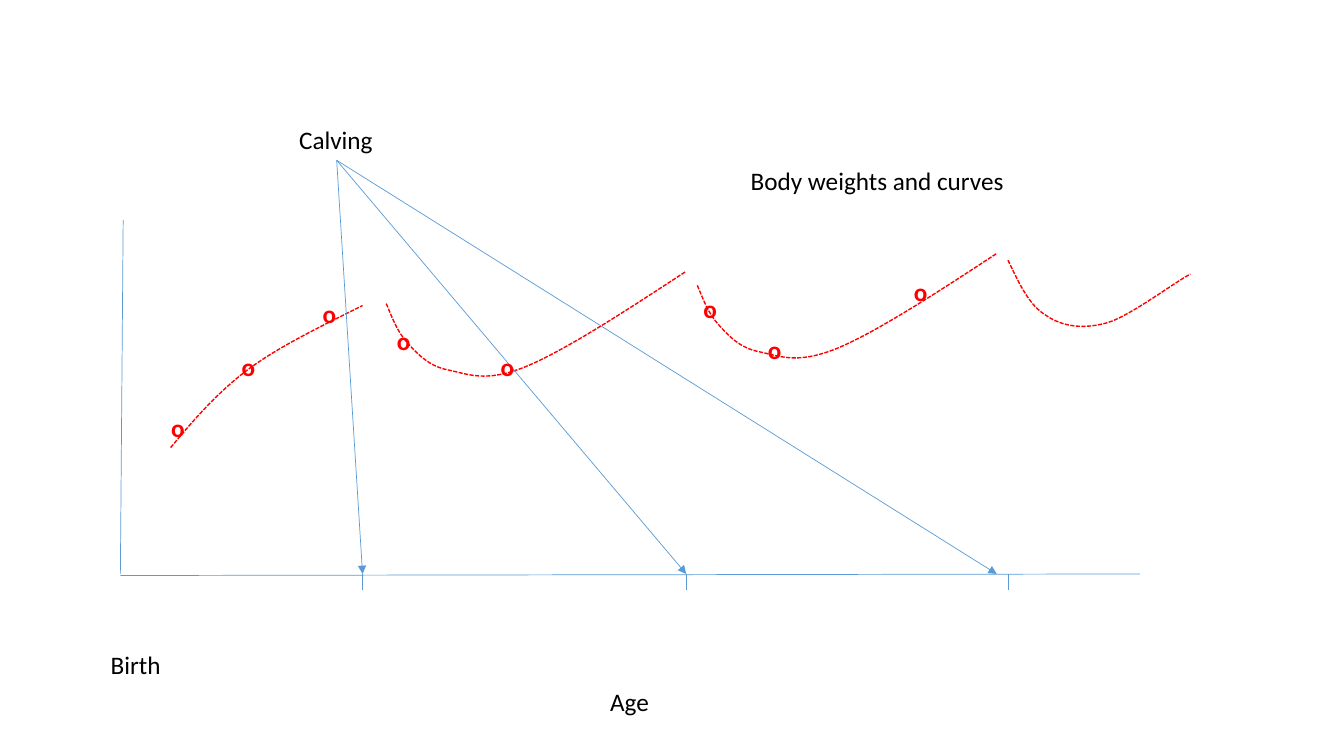
from dataclasses import dataclass

from lxml import etree
from pptx import Presentation
from pptx import util as u
from pptx.dml.color import RGBColor
from pptx.enum import dml, text
from pptx.oxml import ns

Point = tuple[float, float]
HUES = {"axis": "5B9BD5", "curve": "FF0000", "text": "000000"}
BASE = 410  # height of the age axis on the slide
HIGH = 28.8  # height of a one-line text box
STEPS = 16  # samples per Bezier span, to find its extent


@dataclass
class Line:
    """A straight line, with or without an arrowhead at its end."""
    start: Point
    end: Point
    arrow: bool = False


@dataclass
class Label:
    """One line of text in a box."""
    words: str
    left: float
    top: float
    width: float
    hue: str = "text"
    bold: bool = False


def shift(points: list[Point], right: float, down: float) -> list[Point]:
    """Move every point by the same step."""
    return [(x + right, y + down) for x, y in points]


def trace(points: list[Point]) -> list[Point]:
    """Sample a chain of cubic Beziers: a start, then three points per span."""
    path = [points[0]]
    for first in range(0, len(points) - 1, 3):
        span = points[first:first + 4]
        for step in range(1, STEPS + 1):
            t = step / STEPS
            parts = ((1 - t) ** 3, 3 * t * (1 - t) ** 2, 3 * t * t * (1 - t), t ** 3)
            path.append((sum(p * x for p, (x, _) in zip(parts, span)),
                         sum(p * y for p, (_, y) in zip(parts, span))))
    return path


def bend(curve, points: list[Point]) -> None:
    """Swap the straight pieces of a freeform for true Bezier spans."""
    track = curve._element.spPr.find(".//" + ns.qn("a:path"))
    for piece in track.findall(ns.qn("a:lnTo")):
        track.remove(piece)
    for first in range(1, len(points), 3):
        span = etree.SubElement(track, ns.qn("a:cubicBezTo"))
        for x, y in points[first:first + 3]:
            etree.SubElement(span, ns.qn("a:pt"), x=str(u.Pt(x) - curve.left),
                             y=str(u.Pt(y) - curve.top))


def draw_line(slide, line: Line) -> None:
    """Add a thin blue connector."""
    ends = [u.Pt(v) for v in (*line.start, *line.end)]
    link = slide.shapes.add_connector(1, *ends)
    link.line.width = u.Pt(0.5)
    link.line.color.rgb = RGBColor.from_string(HUES["axis"])
    if line.arrow:
        etree.SubElement(link.line._get_or_add_ln(), ns.qn("a:tailEnd"), type="triangle")
    etree.SubElement(link._element.spPr, ns.qn("a:effectLst"))


def draw_curve(slide, points: list[Point]) -> None:
    """Add a dashed red growth curve."""
    path = [(u.Pt(x), u.Pt(y)) for x, y in trace(points)]
    pen = slide.shapes.build_freeform(*path[0])
    pen.add_line_segments(path[1:], close=False)
    curve = pen.convert_to_shape()
    bend(curve, points)
    curve.shadow.inherit = False
    curve.fill.background()
    curve.line.width = u.Pt(1)
    curve.line.color.rgb = RGBColor.from_string(HUES["curve"])
    curve.line.dash_style = dml.MSO_LINE.SQUARE_DOT


def write(box, label: Label, wrap: bool = False) -> None:
    """Place a text shape and fill in its label."""
    box.left, box.top = u.Pt(label.left), u.Pt(label.top)
    box.width, box.height = u.Pt(label.width), u.Pt(HIGH)
    frame = box.text_frame
    frame.text = label.words
    frame.word_wrap = wrap
    frame.auto_size = text.MSO_AUTO_SIZE.SHAPE_TO_FIT_TEXT
    frame.vertical_anchor = text.MSO_ANCHOR.TOP
    line = frame.paragraphs[0]
    line.alignment = text.PP_ALIGN.LEFT
    line.font.name, line.font.size = "Calibri", u.Pt(18)
    line.font.bold = label.bold
    line.font.color.rgb = RGBColor.from_string(HUES[label.hue])


deck = Presentation()
deck.slide_width, deck.slide_height = u.Pt(960), u.Pt(540)
slide = deck.slides.add_slide(deck.slide_layouts[5])

title = Label("Body weights and curves", 529, 114.5, 200.2)
write(slide.shapes.title, title, wrap=True)

growth = [(121.9, 319.7), (137.5, 301), (153.4, 282.2), (175.7, 265),
          (198.7, 247.7), (229, 233.3), (259, 218.2)]
second = [(275.9, 216.9), (280.1, 226.8), (283.7, 236.9), (290.9, 244.8),
          (298.1, 252.7), (306, 261.4), (319.7, 264.2),
          (334.1, 267.1), (346.3, 273.6), (375.1, 262.1),
          (403.2, 250.6), (446.4, 222.5), (490, 193.9)]
third = shift(second, 222.2, -13)
fourth = [(720, 185.8), (727.9, 202.3), (735.1, 218.2), (747.4, 225.4),
          (758.9, 233.3), (774, 235.4), (791.3, 230.4),
          (807.8, 225.4), (841, 200.2), (850.3, 195.8)]

axes = [Line((88, 157), (86, BASE)), Line((86, 411.1), (814.3, BASE))]
ticks = [Line((x, BASE), (x, BASE + 11.3)) for x in (259, 490.2, 720)]
calving = (240.5, 114.5)
arrows = [Line(calving, (x, BASE), arrow=True) for x in (259, 490.2, 712)]

names = [Label("Birth", 72, 460.1, 50.4), Label("Age", 428.7, 486.7, 42.5),
         Label("Calving", 206.6, 85.4, 67.7)]
spots = [(115.2, 290.9), (165.6, 247.7), (223.4, 209.5), (276.5, 229),
         (350.6, 247.7), (495.4, 205.9), (541.4, 235.4), (645.8, 193.7)]
marks = [Label("o", x, y, 24.5, "curve", True) for x, y in spots]

for curve in (growth, second, third, fourth):
    draw_curve(slide, curve)
for line in axes + ticks + arrows:
    draw_line(slide, line)
for label in names + marks:
    write(slide.shapes.add_textbox(0, 0, 0, 0), label)

deck.save("out.pptx")
